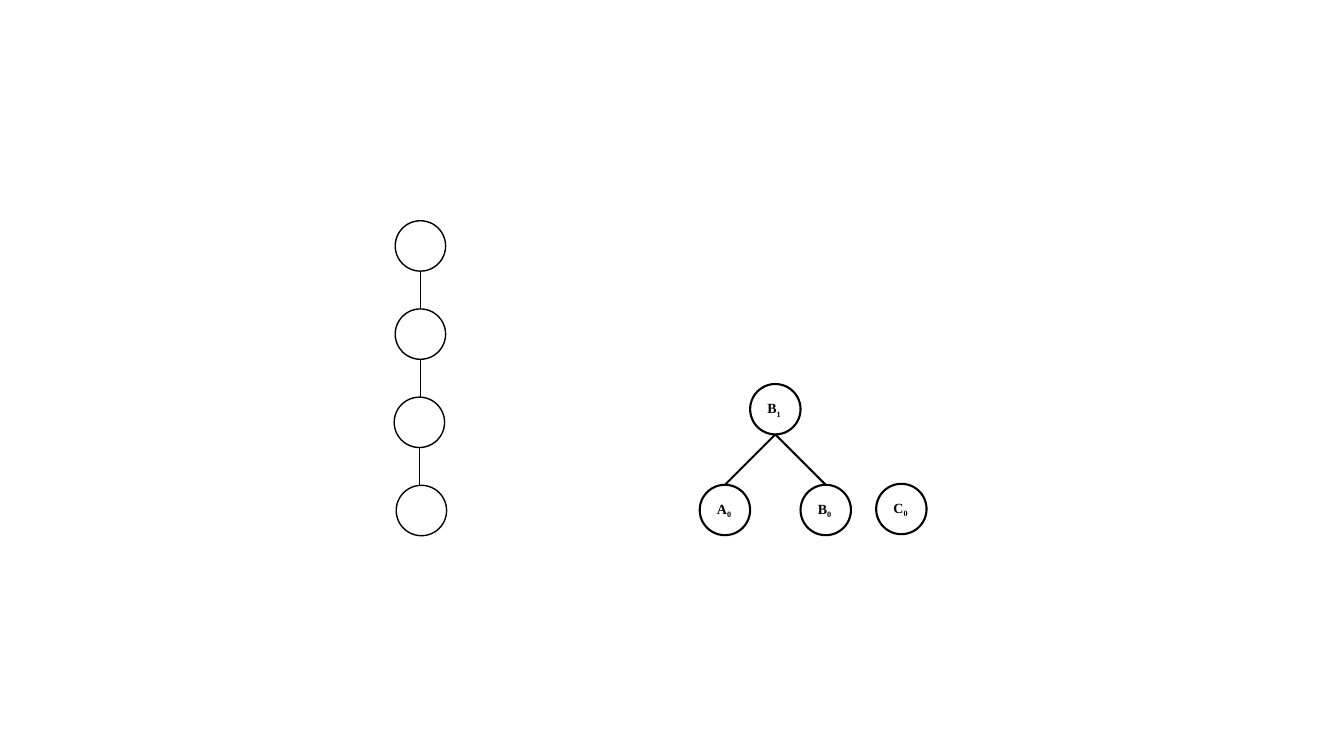
from pptx import Presentation
from pptx.dml.color import RGBColor
from pptx.enum.shapes import MSO_CONNECTOR as LINK, MSO_SHAPE as SHAPE
from pptx.enum.text import MSO_ANCHOR as ANCHOR, PP_ALIGN as ALIGN
from pptx.oxml.ns import qn
from pptx.util import Inches, Pt
from lxml import etree

HUES = {"ink": "000000"}
INK = RGBColor.from_string(HUES["ink"])
SIZE = 0.5

deck = Presentation()
deck.slide_width, deck.slide_height = Inches(13.33), Inches(7.5)
slide = deck.slides.add_slide(deck.slide_layouts[6])


def add_node(left, top, weight):
    """Add an unfilled round node and return it."""
    node = slide.shapes.add_shape(
        SHAPE.OVAL, Inches(left), Inches(top), Inches(SIZE), Inches(SIZE))
    node.shadow.inherit = False
    node.fill.background()
    node.line.color.rgb = INK
    node.line.width = Pt(weight)
    return node


def add_edge(start, end, weight):
    """Add a straight edge between two points."""
    edge = slide.shapes.add_connector(
        LINK.STRAIGHT, *[Inches(n) for n in (*start, *end)])
    edge.line.color.rgb = INK
    edge.line.width = Pt(weight)
    etree.SubElement(edge._element.spPr, qn("a:effectLst"))


# Chain of empty nodes, each joined to the one above
STEP = 0.875
for row, left in enumerate([3.92, 3.92, 3.91, 3.93]):
    top = 2.19 + row * STEP
    add_node(left, top, 1)
    if row:
        mid = 4.16 if row == 3 else 4.17
        add_edge((mid, top), (mid, top - STEP + SIZE), 0.5)

# Tree with a root and two leaves, and a single node beside it
nodes = [("A", "0", 6.94, 4.81), ("B", "0", 7.94, 4.81),
         ("B", "1", 7.44, 3.81), ("C", "0", 8.69, 4.8)]
for name, index, left, top in nodes:
    frame = add_node(left, top, 1.5).text_frame
    frame.vertical_anchor = ANCHOR.MIDDLE
    para = frame.paragraphs[0]
    para.alignment = ALIGN.LEFT
    for text in (name, index):
        run = para.add_run()
        run.text = text
        run.font.name = "Times New Roman"
        run.font.size = Pt(10)
        run.font.bold = True
        run.font.color.rgb = INK
    run.font._element.set("baseline", "-25000")

for leaf in (7.19, 8.19):
    add_edge((leaf, 4.81), (7.69, 4.31), 1.5)

deck.save("out.pptx")
